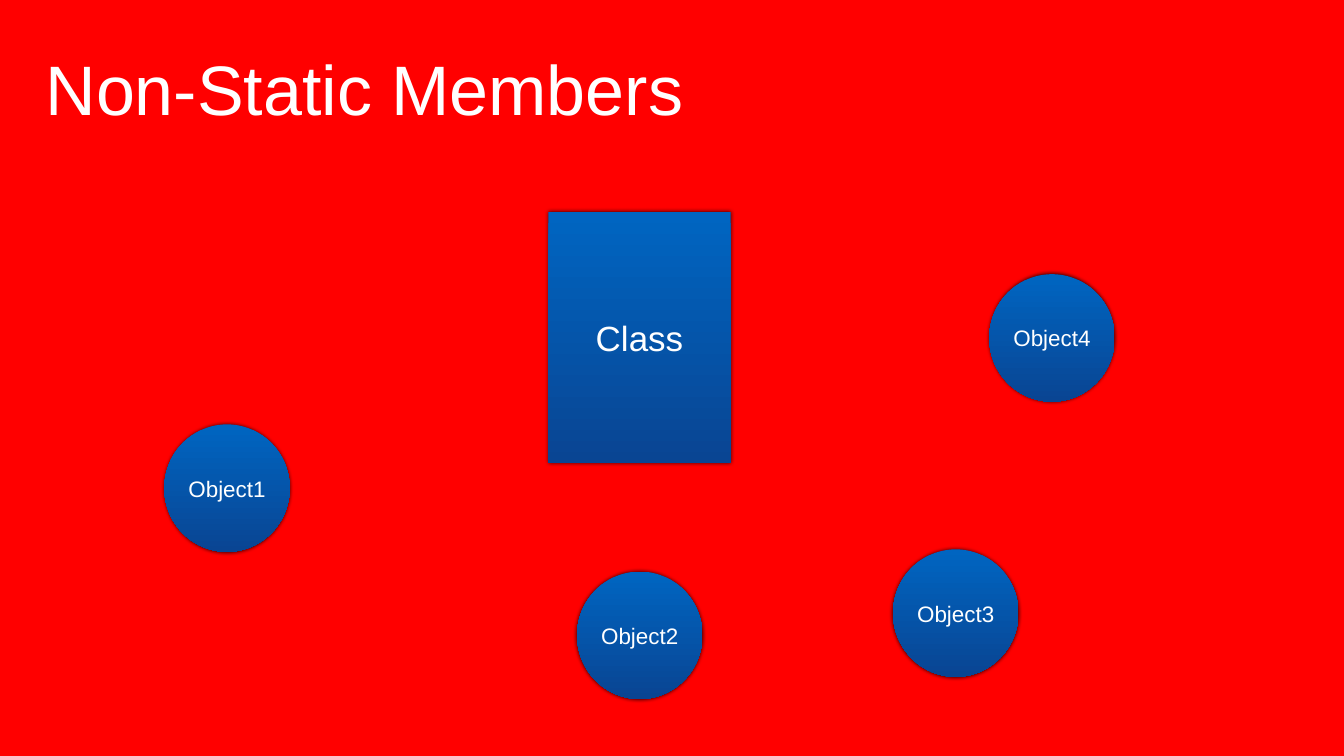
from lxml import etree
from pptx import Presentation
from pptx.dml.color import RGBColor
from pptx.enum.shapes import MSO_SHAPE
from pptx.enum.text import MSO_ANCHOR, PP_ALIGN
from pptx.oxml.ns import qn
from pptx.util import Inches, Pt

RECT, OVAL = MSO_SHAPE.RECTANGLE, MSO_SHAPE.OVAL
MIDDLE, CENTER = MSO_ANCHOR.MIDDLE, PP_ALIGN.CENTER

RED, WHITE, BLACK = "FF0000", "FFFFFF", "000000"
BLUE_TOP, BLUE_BOTTOM = "0065C1", "094593"
OBJECT_SIZE = (2.49, 2.53)
OBJECTS = {
    "Object1": (3.26, 8.42),
    "Object2": (11.45, 11.34),
    "Object3": (17.72, 10.9),
    "Object4": (19.63, 5.44),
}


def rgb(value):
    return RGBColor.from_string(value)


def write(sp, text, size, wrap=True):
    tf = sp.text_frame
    tf.text = text
    tf.word_wrap = wrap
    tf.vertical_anchor = MIDDLE
    tf.margin_left = tf.margin_right = Inches(0.06)
    tf.margin_top = tf.margin_bottom = Inches(0.06)
    p = tf.paragraphs[0]
    p.alignment = CENTER
    font = p.runs[0].font
    font.name, font.size = "Arial", Pt(size)
    font.color.rgb = rgb(WHITE)


def add_glow_shadow(sp):
    """Put a soft shadow with no offset around the shape."""
    sp.shadow.inherit = False
    effects = sp._element.spPr.find(qn("a:effectLst"))
    shadow = etree.SubElement(effects, qn("a:outerShdw"), blurRad=str(Pt(6)),
                              dist="0", dir="18900000", rotWithShape="0")
    color = etree.SubElement(shadow, qn("a:srgbClr"), val=BLACK)
    etree.SubElement(color, qn("a:alpha"), val="80000")


def add_title(s, box, text):
    sp = s.shapes.add_textbox(*map(Inches, box))
    write(sp, text, 100, wrap=False)


def add_node(s, kind, box, text, size):
    sp = s.shapes.add_shape(kind, *map(Inches, box))
    sp.fill.gradient()
    sp.fill.gradient_angle = 270
    for stop, color in zip(sp.fill.gradient_stops, (BLUE_TOP, BLUE_BOTTOM)):
        stop.color.rgb = rgb(color)
    sp.line.fill.background()
    add_glow_shadow(sp)
    write(sp, text, size)


def main():
    prs = Presentation()
    prs.slide_width, prs.slide_height = Inches(26.67), Inches(15)
    s = prs.slides.add_slide(prs.slide_layouts[6])
    s.background.fill.solid()
    s.background.fill.fore_color.rgb = rgb(RED)

    add_title(s, (0.8, 0.85, 12.86, 1.78), "Non-Static Members")
    add_node(s, RECT, (10.88, 4.21, 3.62, 4.97), "Class", 50)
    for name, corner in OBJECTS.items():
        add_node(s, OVAL, corner + OBJECT_SIZE, name, 32)
    prs.save("out.pptx")


if __name__ == "__main__":
    main()
